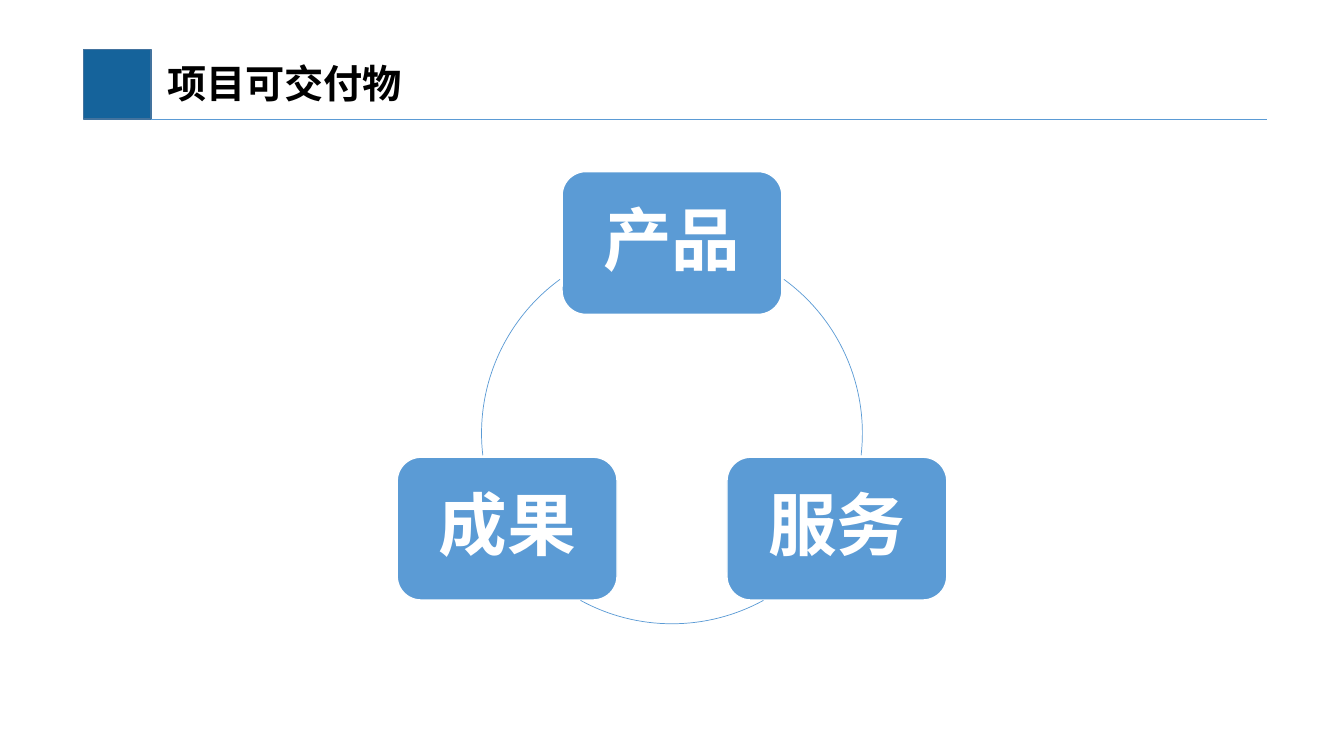
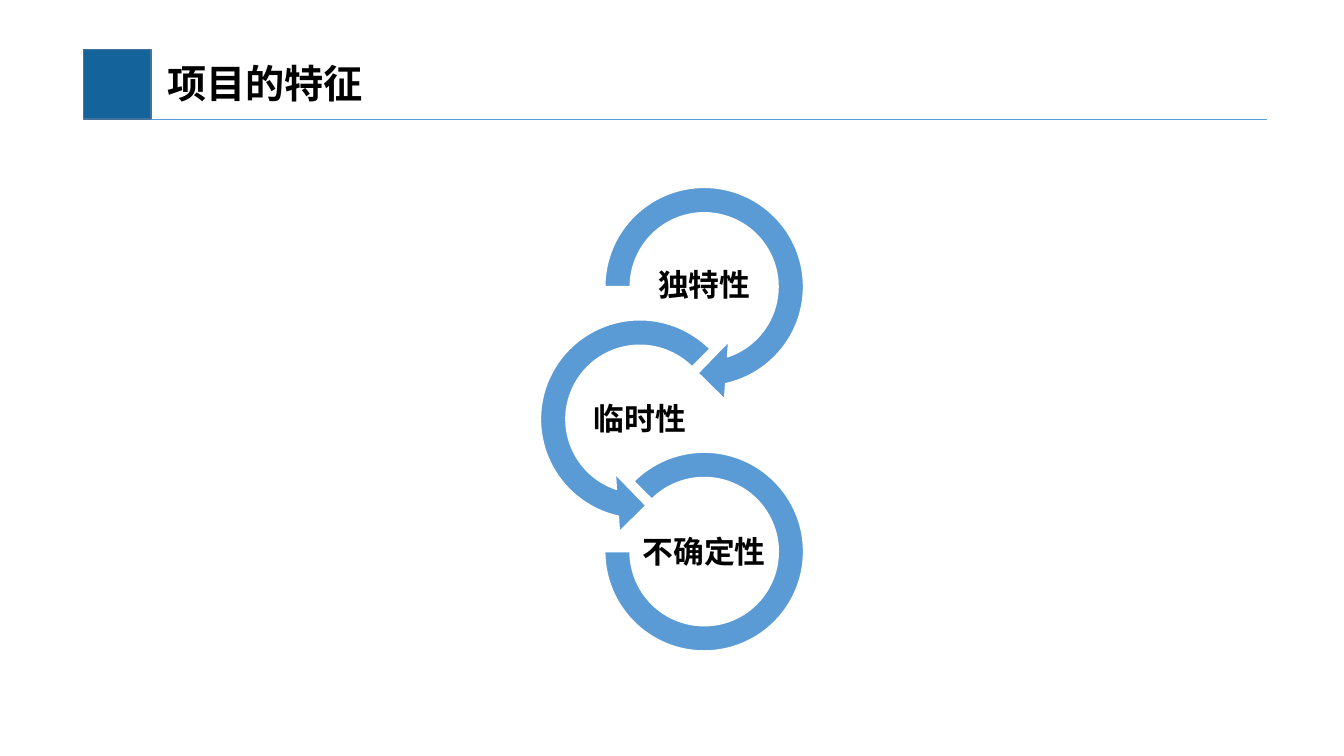
import math

import pptx
import pptx.dml.color
import pptx.enum.shapes
import pptx.enum.text
import pptx.oxml.ns
import pptx.util
from lxml import etree

Pt = pptx.util.Pt
SHAPE = pptx.enum.shapes.MSO_SHAPE
ALIGN = pptx.enum.text.PP_ALIGN
FONT = "Noto Sans CJK SC"
NAVY, NAVY_EDGE, BLUE = "15639B", "43739E", "5B9BD5"
WHITE, BLACK = "FFFFFF", "000000"


def color(code):
    return pptx.dml.color.RGBColor.from_string(code)


def set_line(item, code, width):
    item.line.color.rgb = color(code)
    item.line.width = Pt(width)


def add_shape(page, kind, left, top, width, height, fill=BLUE, line=WHITE, line_width=1):
    shape = page.shapes.add_shape(kind, Pt(left), Pt(top), Pt(width), Pt(height))
    shape.shadow.inherit = False
    if fill:
        shape.fill.solid()
        shape.fill.fore_color.rgb = color(fill)
    else:
        shape.fill.background()
    set_line(shape, line, line_width)
    return shape


def set_adjustments(shape, values):
    for index, value in enumerate(values):
        shape.adjustments[index] = value


def write(shape, text, size, code, align=ALIGN.CENTER, insets=(1.5, 1.5, 1.5, 1.5)):
    """Put one bold line in a shape; insets run left, top, right, bottom."""
    frame = shape.text_frame
    frame.word_wrap = True
    frame.vertical_anchor = pptx.enum.text.MSO_ANCHOR.MIDDLE
    frame.margin_left, frame.margin_top, frame.margin_right, frame.margin_bottom = map(Pt, insets)
    para = frame.paragraphs[0]
    para.text = text
    para.alignment = align
    para.line_spacing = 0.9
    font = para.font
    font.size, font.bold, font.name = Pt(size), True, FONT
    font.color.rgb = color(code)
    qn = pptx.oxml.ns.qn
    latin = para._p.find(".//" + qn("a:latin"))
    latin.addnext(etree.Element(qn("a:ea"), typeface=FONT))


def add_text(page, left, top, width, height, *text_style):
    box = page.shapes.add_textbox(Pt(left), Pt(top), Pt(width), Pt(height))
    write(box, *text_style)


def add_page(deck, title):
    page = deck.slides.add_slide(deck.slide_layouts[6])
    add_shape(page, SHAPE.RECTANGLE, 59.5, 35.3, 48.5, 49.7, NAVY, NAVY_EDGE)
    rule = page.shapes.add_connector(
        pptx.enum.shapes.MSO_CONNECTOR.STRAIGHT, Pt(108), Pt(85), Pt(905), Pt(85))
    set_line(rule, BLUE, 0.5)
    etree.SubElement(rule._element.spPr, pptx.oxml.ns.qn("a:effectLst"))
    add_text(page, 108, 36, 786, 50.4, title, 28, BLACK, ALIGN.LEFT, (11.5, 3.6, 7.2, 3.6))
    return page


def add_cycle(page, labels):
    """Boxes evenly spaced clockwise on a circle, linked by arcs."""
    center_x, center_y, radius = 480, 309.6, 136
    width, height = 157, 102
    for index, label in enumerate(labels):
        angle = math.radians(360 * index / len(labels) - 90)
        node = add_shape(
            page, SHAPE.ROUNDED_RECTANGLE,
            center_x + radius * math.cos(angle) - width / 2,
            center_y + radius * math.sin(angle) - height / 2, width, height)
        write(node, label, 49, WHITE)
    for start, end in ((306, 6.6), (61.3, 118.7), (173.4, 234)):
        arc = add_shape(page, SHAPE.ARC, center_x - radius, center_y - radius,
                        2 * radius, 2 * radius, None, BLUE, 0.5)
        set_adjustments(arc, (start * 0.6, end * 0.6))  # units of 100000/60000 degree


def add_ring_chain(page, rings):
    """Rings stacked downwards, each with a label in its middle."""
    first_y, ring_step, label_step = 204.8, 94.6, 95.4
    label_width, label_height = 91.4, 46
    for index, (label, kind, center_x, size, adjustments) in enumerate(rings):
        ring = add_shape(page, kind, center_x - size / 2,
                         first_y + index * ring_step - size / 2, size, size)
        set_adjustments(ring, adjustments)
        add_text(page, center_x - label_width / 2,
                 first_y + index * label_step - label_height / 2,
                 label_width, label_height, label, 22, BLACK)


def main():
    deck = pptx.Presentation()
    deck.slide_width, deck.slide_height = Pt(960), Pt(540)
    add_cycle(add_page(deck, "项目可交付物"), ("产品", "服务", "成果"))
    add_ring_chain(add_page(deck, "项目的特征"), (
        ("独特性", SHAPE.CIRCULAR_ARROW, 503, 165, (0.11, 11.42, 45, 108, 0.125)),
        ("临时性", SHAPE.LEFT_CIRCULAR_ARROW, 457, 165, (0.11, 11.42, 63, 189, 0.125)),
        ("不确定性", SHAPE.BLOCK_ARC, 503, 142, (135, 108, 0.127)),
    ))
    deck.save("out.pptx")


if __name__ == "__main__":
    main()
